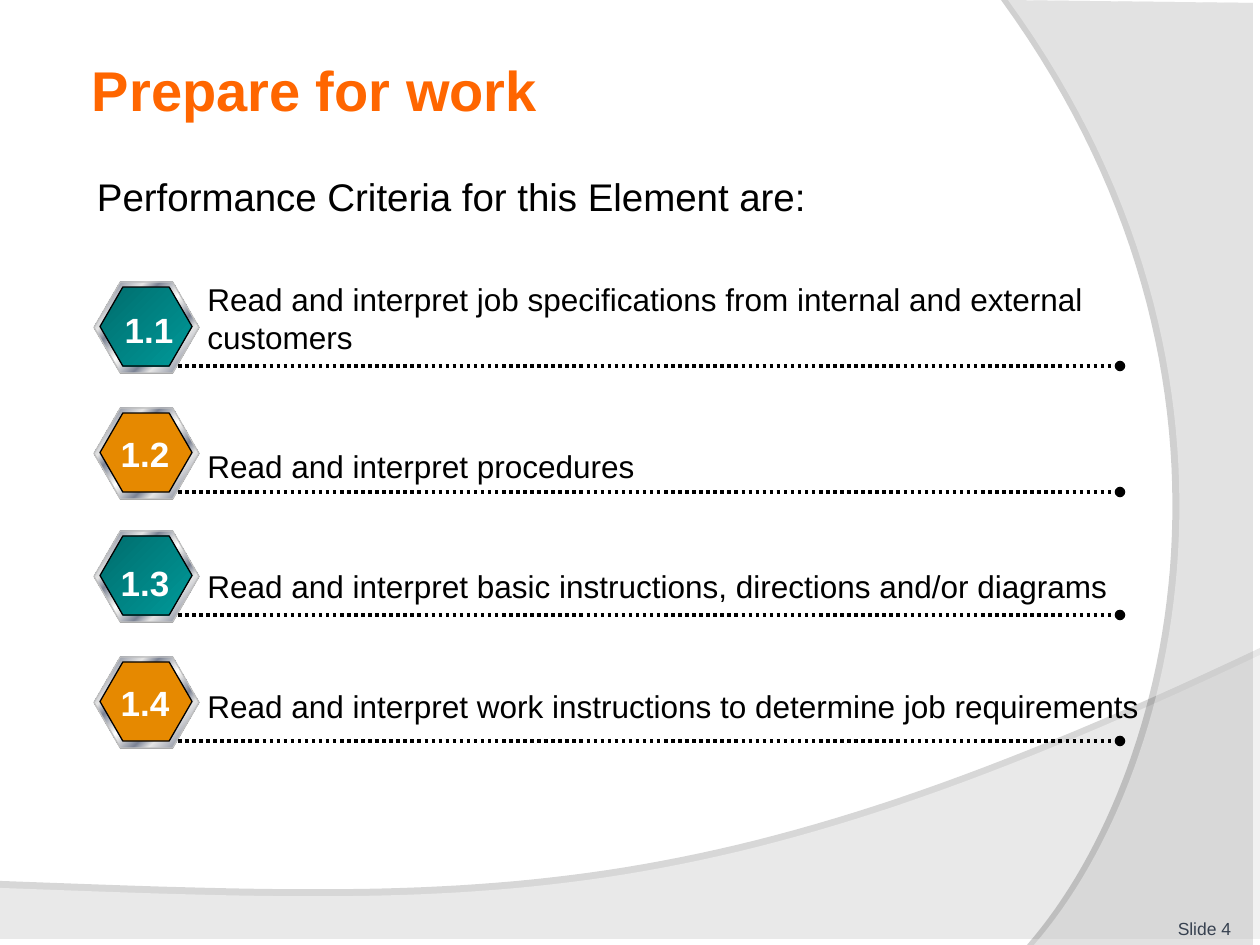
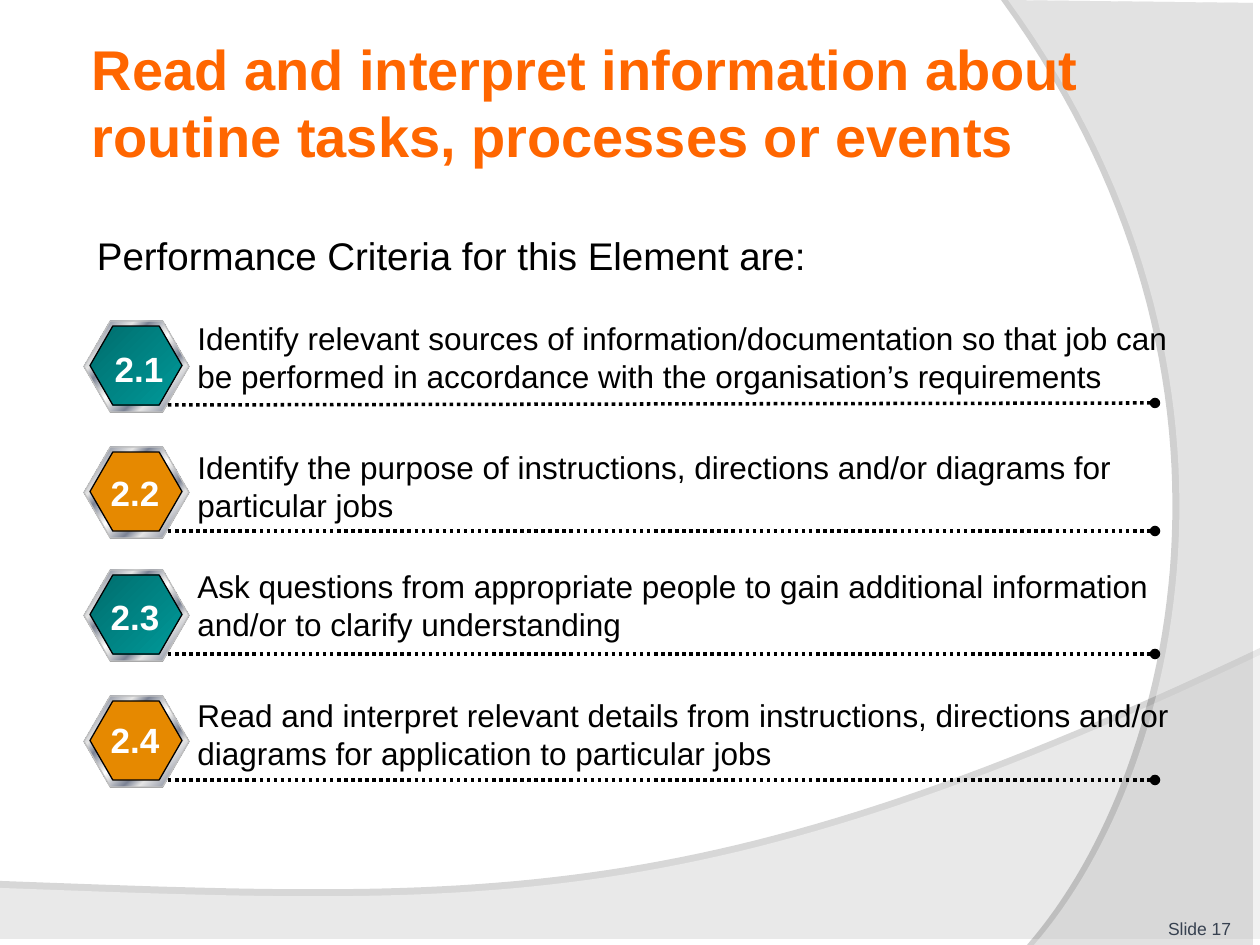
import lxml.etree
import pptx
import pptx.dml.color
import pptx.enum.dml
import pptx.enum.shapes
import pptx.enum.text
import pptx.oxml.ns
import pptx.util

EMU_PER_PX = 914400 / 126
FONT = "Arial"
COLORS = {
    "title": "FF6600", "text": "000000", "footer": "374150", "white": "FFFFFF",
    "base": "808080", "rim": "C0C0C0", "light": "E6E6E6", "steel": "7D8496",
    "teal_dark": "006D6D", "teal": "009999", "orange": "E68900",
}
STEEL_STOPS = [(0, "light"), (8, "steel"), (26, "light"), (34, "steel"),
               (46, "light"), (50, "white"), (54, "light"), (66, "steel"),
               (74, "light"), (92, "steel"), (100, "light")]
TEAL_STOPS = [(0, "teal_dark"), (100, "teal")]
ROW_TOPS = [0, 126, 249, 375]

# Each criterion: number, text, text offset and number offset from its row top
SLIDES = [
    dict(number=4, title="Prepare for work", title_box=(84, 44, 1029, 91),
         body_box=(84, 165, 1029, 725), list_at=(94, 282), line_end=1026,
         rows=[
             ("1.1", "Read and interpret job specifications from internal "
              "and external customers", -8, 20),
             ("1.2", "Read and interpret procedures", 33, 18),
             ("1.3", "Read and interpret basic instructions, directions "
              "and/or diagrams", 30, 24),
             ("1.4", "Read and interpret work instructions to determine "
              "job requirements", 24, 18)]),
    dict(number=17,
         title="Read and interpret information about routine tasks, "
               "processes or events",
         title_box=(84, 37, 1029, 130), body_box=(84, 224, 1062, 674),
         list_at=(84, 321), line_end=1071,
         rows=[
             ("2.1", "Identify relevant sources of information/documentation "
              "so that job can be performed in accordance with the "
              "organisation’s requirements", -8, 20),
             ("2.2", "Identify the purpose of instructions, directions "
              "and/or diagrams for particular jobs", -5, 18),
             ("2.3", "Ask questions from appropriate people to gain "
              "additional information and/or to clarify understanding", -9, 19),
             ("2.4", "Read and interpret relevant details from instructions, "
              "directions and/or diagrams for application to particular jobs",
              -6, 16)]),
]


def px(n):
    return pptx.util.Emu(round(n * EMU_PER_PX))


def box(*lengths):
    return [px(n) for n in lengths]


def rgb(name):
    return pptx.dml.color.RGBColor.from_string(COLORS[name])


def sub(parent, tag, **attrs):
    el = lxml.etree.SubElement(parent, pptx.oxml.ns.qn(tag))
    for key, value in attrs.items():
        el.set(key, str(value))
    return el


def write(tf, text, size, color, bold=False, align="LEFT"):
    p = tf.paragraphs[0]
    p.text = text
    p.alignment = getattr(pptx.enum.text.PP_ALIGN, align)
    p.space_before = pptx.util.Pt(0)
    p.font.name = FONT
    p.font.size = pptx.util.Pt(size)
    p.font.bold = bold
    p.font.color.rgb = rgb(color)
    return p


def set_margins(tf, left, top, right, bottom):
    tf.margin_left, tf.margin_top = px(left), px(top)
    tf.margin_right, tf.margin_bottom = px(right), px(bottom)


# Backdrop shared through the slide master
def bezier(p0, p1, p2, p3, steps=60):
    points = []
    for i in range(1, steps + 1):
        t = i / steps
        weights = ((1 - t) ** 3, 3 * t * (1 - t) ** 2, 3 * t * t * (1 - t), t ** 3)
        points.append(tuple(sum(w * q[k] for w, q in zip(weights, (p0, p1, p2, p3)))
                            for k in (0, 1)))
    return points


def add_sheet(prs, s, index, points, opacity, shade, direction):
    points = [box(*point) for point in points]
    builder = s.shapes.build_freeform(*points[0], scale=1.0)
    builder.add_line_segments(points[1:], close=True)
    sp = builder.convert_to_shape()
    sp.fill.solid()
    sp.fill.fore_color.rgb = rgb("white")
    sp.line.fill.background()
    sp.shadow.inherit = False
    fill = sp.element.spPr.xpath("./a:solidFill/a:srgbClr")[0]
    sub(fill, "a:alpha", val=opacity * 1000)
    shadow = sub(sp.element.spPr.xpath("./a:effectLst")[0], "a:outerShdw",
                 dist=50800, dir=direction * 60000, algn="ctr", rotWithShape=0)
    sub(sub(shadow, "a:srgbClr", val=COLORS["text"]), "a:alpha", val=shade * 1000)
    sp.element.xpath(".//p:cNvPr")[0].set("id", str(100 + index))
    prs.slide_master.shapes.element.insert(2 + index, sp.element)


def add_backdrop(prs, s):
    wave = [(0, 888), (0, 946), (1260, 946), (1260, 655)]
    wave += bezier(wave[-1], (704, 919), (493, 906), (0, 888))
    side = [(1260, 3), (1260, 945), (1034, 945)]
    side += bezier(side[-1], (1178, 780), (1283, 378), (1008, 0))
    add_sheet(prs, s, 0, wave, 45, 35, 270)
    add_sheet(prs, s, 1, side, 40, 45, 180)


# Title, introduction and footer
def add_heading(s, title, title_box, body_box):
    sp = s.shapes.title
    sp.left, sp.top, sp.width, sp.height = box(*title_box)
    set_margins(sp.text_frame, 8, 8, 5, 8)
    sp.text_frame.vertical_anchor = pptx.enum.text.MSO_ANCHOR.MIDDLE
    write(sp.text_frame, title, 32, "title", bold=True)

    sp = s.placeholders[1]
    sp.left, sp.top, sp.width, sp.height = box(*body_box)
    set_margins(sp.text_frame, 8, 8, 18, 8)
    p = sp.text_frame.paragraphs[0]
    pPr = p._p.get_or_add_pPr()
    pPr.set("marL", str(px(5)))
    pPr.set("indent", "0")
    sub(pPr, "a:buNone")
    write(sp.text_frame, "Performance Criteria for this Element are:", 22, "text")


def add_footer(s, number):
    tf = s.shapes.add_textbox(*box(1124, 920, 107, 19)).text_frame
    set_margins(tf, 0, 0, 0, 0)
    tf.word_wrap = True
    tf.vertical_anchor = pptx.enum.text.MSO_ANCHOR.BOTTOM
    write(tf, f"Slide {number}", 10, "footer", align="RIGHT")


# Numbered criteria
def add_hexagon(shapes, bounds, fill, line=None):
    sp = shapes.add_shape(pptx.enum.shapes.MSO_SHAPE.HEXAGON, *box(*bounds))
    sp.adjustments[0], sp.adjustments[1] = 0.289, 1.155
    sp.shadow.inherit = False
    if isinstance(fill, str):
        sp.fill.solid()
        sp.fill.fore_color.rgb = rgb(fill)
    else:
        sp.fill.gradient()
        sp.fill.gradient_angle = 315
        stops = sp.element.spPr.xpath(".//a:gsLst")[0]
        for stop in list(stops):
            stops.remove(stop)
        for pos, color in fill:
            sub(sub(stops, "a:gs", pos=pos * 1000), "a:srgbClr", val=COLORS[color])
    if line:
        sp.line.color.rgb = rgb(line)
        sp.line.width = pptx.util.Pt(0.75)
    else:
        sp.line.fill.background()


def add_dotted_line(shapes, x1, y1, x2, y2):
    line = shapes.add_connector(pptx.enum.shapes.MSO_CONNECTOR.STRAIGHT,
                                *box(x1, y1, x2, y2))
    line.line.color.rgb = rgb("text")
    line.line.width = pptx.util.Pt(2)
    line.line.dash_style = pptx.enum.dml.MSO_LINE.ROUND_DOT
    sub(line.line._get_or_add_ln(), "a:tailEnd", type="oval")
    sub(line.element.spPr, "a:effectLst")


def add_criterion(s, left, top, row, fill, label_dx, line_end, line_rise):
    number, text, text_dy, label_dy = row
    shapes = s.shapes.add_group_shape().shapes
    add_hexagon(shapes, (left, top + 1, 105, 91), "base")
    add_hexagon(shapes, (left, top, 105, 91), STEEL_STOPS, "rim")
    add_hexagon(shapes, (left + 6, top + 5, 92, 79), fill, "text")
    add_dotted_line(shapes, left + 84, top + 84,
                    left + line_end, top + 84 - line_rise)

    tf = shapes.add_textbox(*box(left + 101, top + text_dy, 1000, 50)).text_frame
    tf.word_wrap = True
    write(tf, text, 18, "text")

    tf = shapes.add_textbox(*box(left + label_dx, top + label_dy, 74, 55)).text_frame
    tf.word_wrap = False
    write(tf, number, 20, "white", bold=True, align="CENTER")


def add_criteria(s, list_at, rows, line_end):
    left, top = list_at
    for i, (dy, row) in enumerate(zip(ROW_TOPS, rows)):
        add_criterion(s, left, top + dy, row,
                      fill="orange" if i % 2 else TEAL_STOPS,
                      label_dx=14 if i else 18, line_end=line_end,
                      line_rise=2 if row[0] == "2.1" else 0)


def main():
    prs = pptx.Presentation()
    prs.slide_width, prs.slide_height = box(1260, 945)
    for i, page in enumerate(SLIDES):
        s = prs.slides.add_slide(prs.slide_layouts[1])
        if i == 0:
            add_backdrop(prs, s)
        add_heading(s, page["title"], page["title_box"], page["body_box"])
        add_footer(s, page["number"])
        add_criteria(s, page["list_at"], page["rows"], page["line_end"])
    prs.save("out.pptx")


if __name__ == "__main__":
    main()
